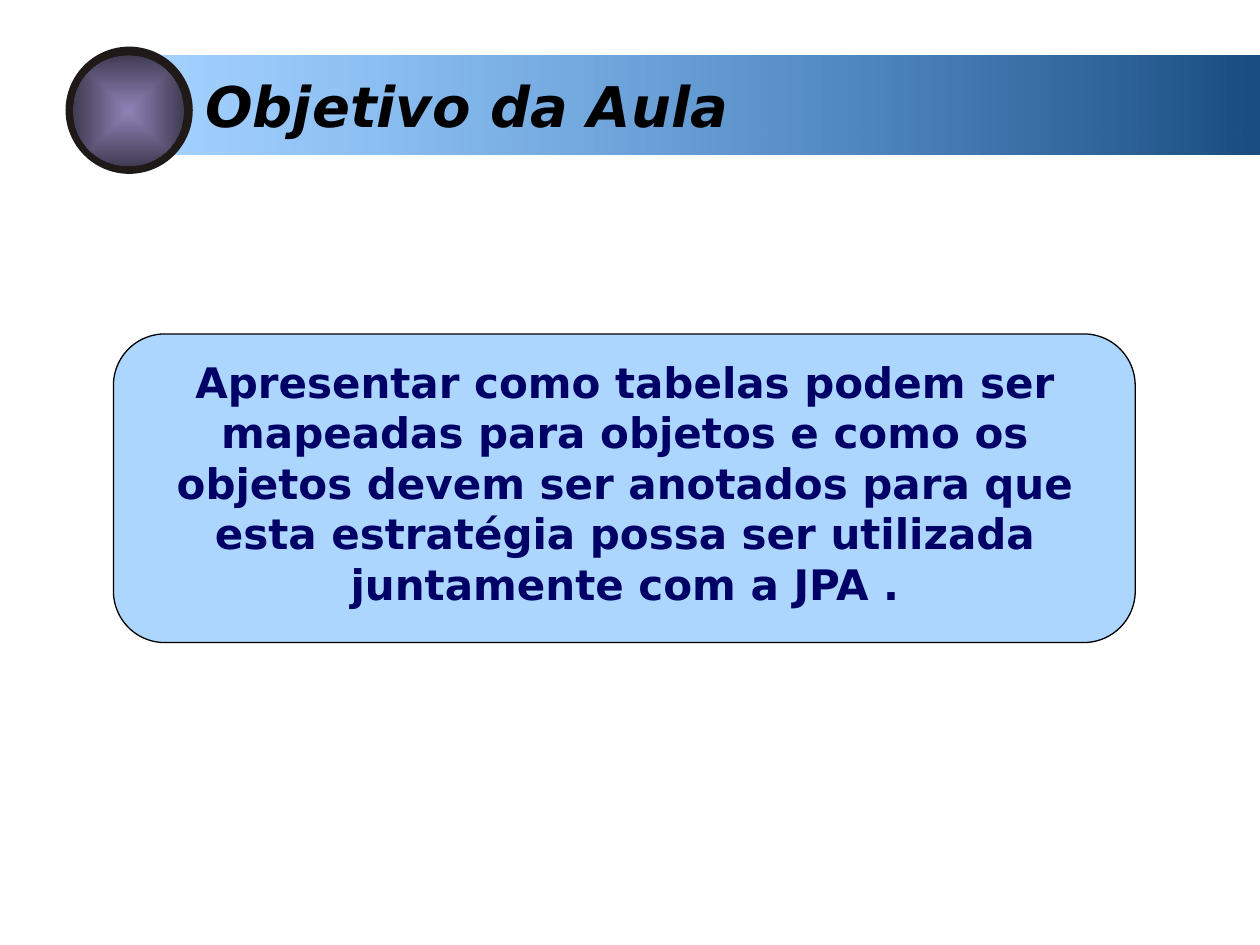
from pptx import Presentation
from pptx.dml.color import RGBColor
from pptx.enum.shapes import MSO_SHAPE as Kind
from pptx.enum.text import PP_ALIGN as Align
from pptx.oxml import parse_xml
from pptx.oxml.ns import nsdecls, qn
from pptx.util import Inches, Pt

BLACK = RGBColor(0x00, 0x00, 0x00)
NAVY = RGBColor(0x00, 0x00, 0x66)
BLUE = RGBColor(0x33, 0x99, 0xFF)
DEEP = RGBColor(0x19, 0x4D, 0x81)
RING = RGBColor(0x1F, 0x1A, 0x17)
LILAC = RGBColor(0x8E, 0x84, 0xB7)
PLUM = RGBColor(0x41, 0x3C, 0x54)

deck = Presentation()
deck.slide_width, deck.slide_height = Inches(10), Inches(7.5)
slide = deck.slides.add_slide(deck.slide_layouts[6])


def add_shape(kind, *box):
    shape = slide.shapes.add_shape(kind, *map(Inches, box))
    shape.shadow.inherit = False
    shape.line.fill.background()
    return shape


def set_alpha(shape, color, percent):
    """Make every use of the color in the shape's fill see-through."""
    for node in shape.fill._xPr.iter(qn("a:srgbClr")):
        if node.get("val") == str(color):
            node.append(parse_xml(
                f'<a:alpha {nsdecls("a")} val="{percent * 1000}"/>'))


# Title band, fading to the left
band = add_shape(Kind.RECTANGLE, 1.22, 0.44, 8.78, 0.79)
band.fill.gradient()
band.fill.gradient_angle = 180
for stop, color in zip(band.fill.gradient_stops, (DEEP, BLUE)):
    stop.color.rgb = color
set_alpha(band, BLUE, 44)

# Goal panel
panel = add_shape(Kind.ROUNDED_RECTANGLE, 0.9, 2.65, 8.11, 2.45)
panel.adjustments[0] = 0.167
panel.fill.solid()
panel.fill.fore_color.rgb = BLUE
set_alpha(panel, BLUE, 40)
panel.line.color.rgb = BLACK
panel.line.width = Pt(0.75)

# Round button: dark ring with a shaded disc
ring = add_shape(Kind.OVAL, 0.52, 0.37, 1.01, 1.01)
ring.fill.solid()
ring.fill.fore_color.rgb = RING
disc = add_shape(Kind.OVAL, 0.58, 0.44, 0.88, 0.88)
disc.fill.gradient()
for stop, color in zip(disc.fill.gradient_stops, (LILAC, PLUM)):
    stop.color.rgb = color
grad = disc.fill._xPr.find(qn("a:gradFill"))
grad.replace(grad.find(qn("a:lin")), parse_xml(
    f'<a:path {nsdecls("a")} path="rect">'
    '<a:fillToRect l="50000" t="50000" r="50000" b="50000"/></a:path>'))

# Texts
goal = ("Apresentar como tabelas podem ser mapeadas para objetos e como os "
        "objetos devem ser anotados para que esta estratégia possa ser "
        "utilizada juntamente com a JPA .")
texts = [
    ((1.53, 0.52, 8.47, 0.64), "Objetivo da Aula", 32, BLACK, True, Align.LEFT),
    ((0.99, 2.78, 7.94, 2.12), goal, 24, NAVY, False, Align.CENTER),
]
for box, words, size, color, slant, align in texts:
    frame = slide.shapes.add_textbox(*map(Inches, box)).text_frame
    frame.word_wrap = True
    frame.text = words
    para = frame.paragraphs[0]
    para.alignment = align
    font = para.runs[0].font
    font.name, font.size = "DejaVu Sans", Pt(size)
    font.bold, font.italic = True, slant
    font.color.rgb = color

deck.save("out.pptx")
